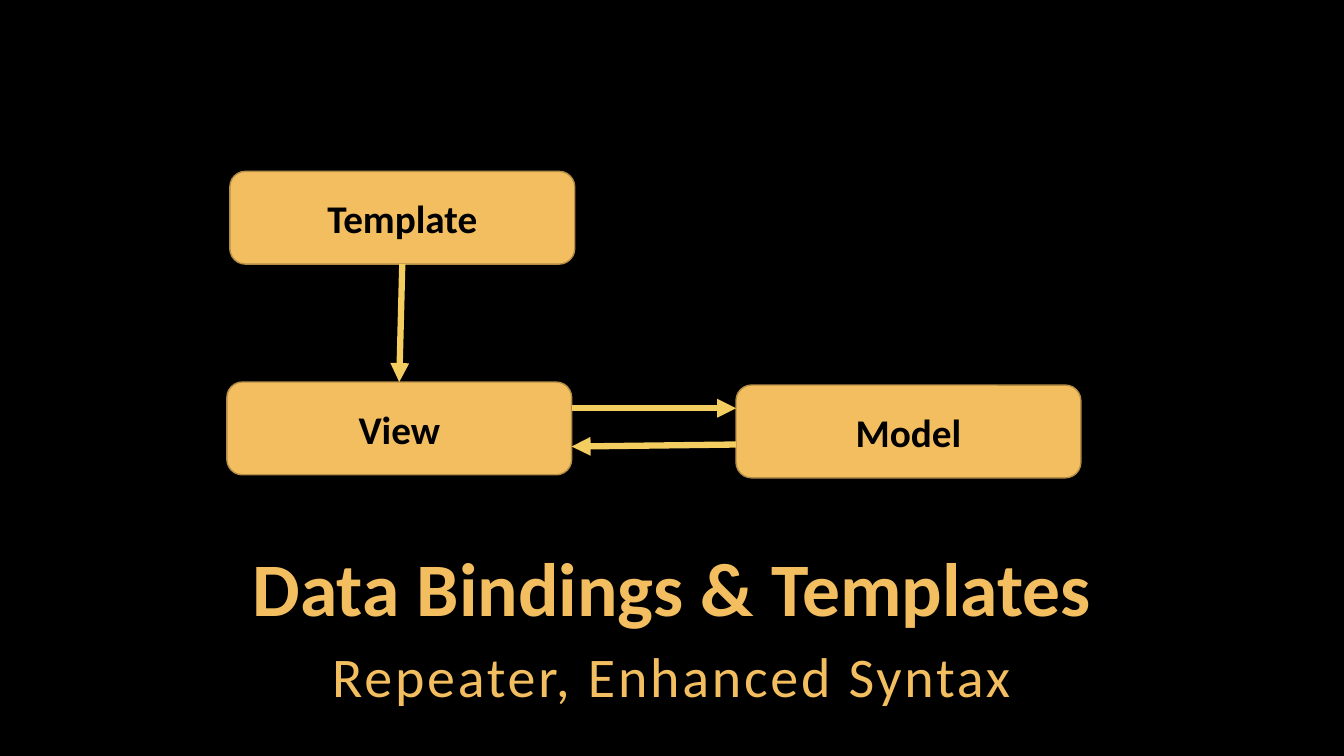
from dataclasses import dataclass

from lxml.etree import SubElement
from pptx import Presentation
from pptx.dml.color import RGBColor
from pptx.enum.shapes import MSO_CONNECTOR, MSO_SHAPE
from pptx.enum.text import MSO_ANCHOR, PP_ALIGN
from pptx.oxml.ns import qn
from pptx.util import Inches, Pt


@dataclass(frozen=True)
class Theme:
    background: RGBColor = RGBColor(0x00, 0x00, 0x00)
    gold: RGBColor = RGBColor(0xF3, 0xBE, 0x60)
    border: RGBColor = RGBColor(0xB4, 0x8D, 0x47)
    arrow: RGBColor = RGBColor(0xF3, 0xCD, 0x60)
    label: RGBColor = RGBColor(0x00, 0x00, 0x00)
    font: str = "Calibri"
    title_size: int = 54
    subtitle_size: int = 40
    label_size: int = 28
    border_width: float = 1
    arrow_width: float = 4.5


THEME = Theme()
NODE_W, NODE_H = 3.42, 0.92


def write_text(tf, text, size, color, bold, anchor, margin=0.04, spacing=1.0):
    """Fill a text frame with one centred line and return its run."""
    frame = {"word_wrap": True, "vertical_anchor": anchor}
    for side in ("left", "top", "right", "bottom"):
        frame[f"margin_{side}"] = Inches(margin)
    for name, value in frame.items():
        setattr(tf, name, value)
    p = tf.paragraphs[0]
    p.alignment, p.line_spacing = PP_ALIGN.CENTER, spacing
    r = p.add_run()
    r.text = text
    for name, value in {"name": THEME.font, "size": Pt(size), "bold": bold}.items():
        setattr(r.font, name, value)
    r.font.color.rgb = color
    return r


def add_node(s, left, top, text):
    sp = s.shapes.add_shape(MSO_SHAPE.ROUNDED_RECTANGLE, Inches(left), Inches(top),
                            Inches(NODE_W), Inches(NODE_H))
    sp.shadow.inherit = False
    sp.fill.solid()
    sp.fill.fore_color.rgb = THEME.gold
    sp.line.color.rgb = THEME.border
    sp.line.width = Pt(THEME.border_width)
    write_text(sp.text_frame, text, THEME.label_size, THEME.label, True, MSO_ANCHOR.MIDDLE)
    return sp


def add_arrow(s, x1, y1, x2, y2):
    line = s.shapes.add_connector(MSO_CONNECTOR.STRAIGHT, Inches(x1), Inches(y1),
                                  Inches(x2), Inches(y2))
    line.line.color.rgb = THEME.arrow
    line.line.width = Pt(THEME.arrow_width)
    SubElement(line.line._get_or_add_ln(), qn("a:tailEnd"), type="triangle")
    SubElement(line._element.spPr, qn("a:effectLst"))
    return line


def add_diagram(s, left, top):
    """Template feeds the view; view and model update each other."""
    view_top = top + 2.09
    view_right, model_left = left + NODE_W, left + 5.05
    template = add_node(s, left + 0.03, top, "Template")
    view = add_node(s, left, view_top, "View")
    add_node(s, model_left, view_top + 0.03, "Model")

    # Template to view
    center = left + NODE_W / 2
    down = add_arrow(s, center, top + NODE_H, center, view_top)
    down.begin_connect(template, 2)
    down.end_connect(view, 0)

    # View to model and back
    add_arrow(s, view_right, view_top + 0.26, model_left, view_top + 0.26)
    add_arrow(s, model_left, view_top + 0.62, view_right, view_top + 0.64)


def add_heading(s, left, top, width, title, subtitle):
    def line(offset, height, text, size, bold, anchor, spacing):
        sp = s.shapes.add_textbox(Inches(left), Inches(top + offset),
                                  Inches(width), Inches(height))
        return write_text(sp.text_frame, text, size, THEME.gold, bold, anchor,
                          spacing=spacing)

    line(0, 0.9, title, THEME.title_size, True, MSO_ANCHOR.BOTTOM, 0.9)
    r = line(0.87, 0.76, subtitle, THEME.subtitle_size, False, MSO_ANCHOR.TOP, 1.05)
    r.font._element.set("spc", "200")  # letter spacing of 2 pt


def main():
    prs = Presentation()
    prs.slide_width, prs.slide_height = Inches(13.33), Inches(7.5)
    s = prs.slides.add_slide(prs.slide_layouts[6])
    s.background.fill.solid()
    s.background.fill.fore_color.rgb = THEME.background
    add_heading(s, 1, 5.42, 11.33, "Data Bindings & Templates", "Repeater, Enhanced Syntax")
    add_diagram(s, 2.25, 1.7)
    prs.save("out.pptx")


if __name__ == "__main__":
    main()
